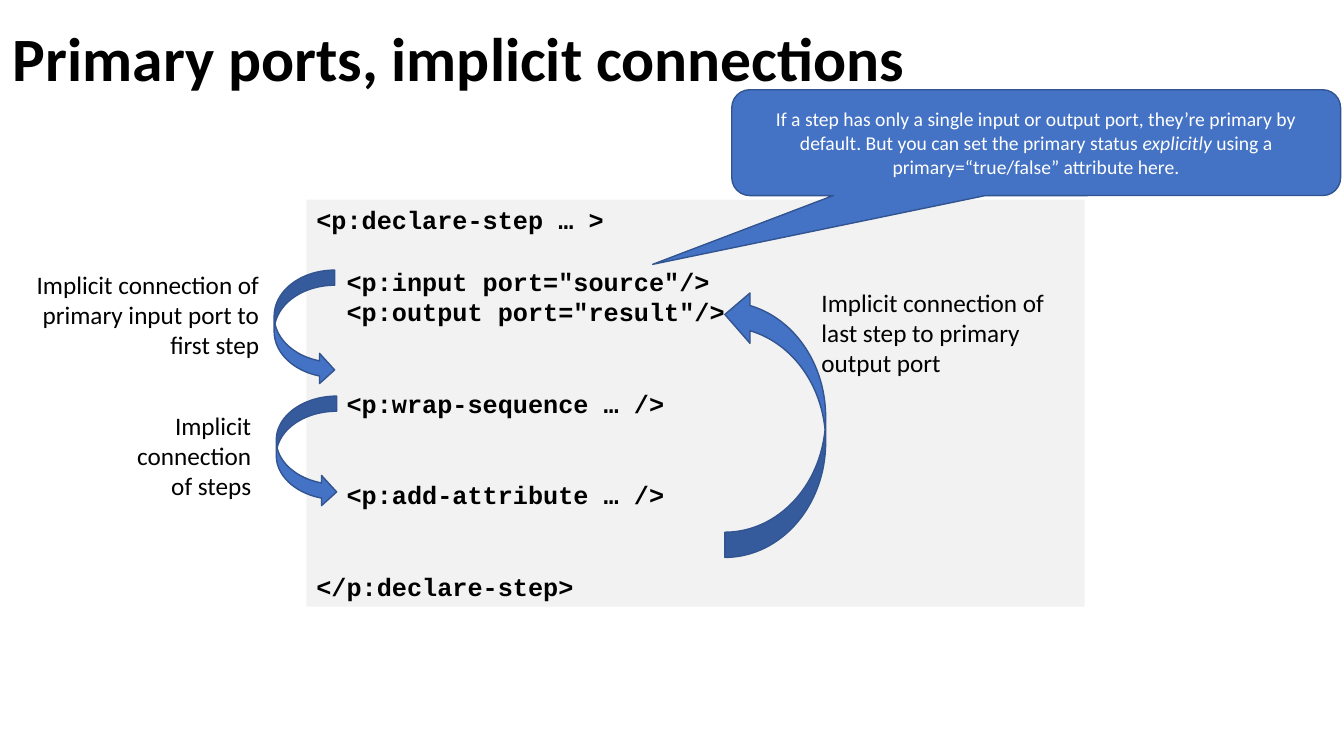
from dataclasses import dataclass

from pptx import Presentation
from pptx.dml.color import RGBColor
from pptx.enum.shapes import MSO_SHAPE as Preset
from pptx.enum.text import MSO_ANCHOR as Anchor, PP_ALIGN as Align
from pptx.util import Inches, Pt


@dataclass(frozen=True)
class Theme:
    text: RGBColor = RGBColor.from_string("000000")
    light: RGBColor = RGBColor.from_string("FFFFFF")
    panel: RGBColor = RGBColor.from_string("F2F2F2")
    accent: RGBColor = RGBColor.from_string("4472C4")
    outline: RGBColor = RGBColor.from_string("325491")
    body_font: str = "Calibri"
    code_font: str = "Courier New"
    title_size: int = 44
    body_size: int = 18
    callout_size: int = 14
    code_pitch: float = 21.8
    code_indent: float = 21.6


@dataclass(frozen=True)
class Box:
    left: float
    top: float
    width: float
    height: float

    def share(self, left, top, width, height):
        return Box(self.left + self.width * left / 100,
                   self.top + self.height * top / 100,
                   self.width * width / 100,
                   self.height * height / 100)

    def place(self):
        return [Inches(value) for value in (self.left, self.top, self.width, self.height)]


THEME = Theme()
SLIDE = Box(0, 0, 13.33, 7.5)


def style_run(run, size, color=THEME.text, name=THEME.body_font, bold=False):
    run.font.size = Pt(size)
    run.font.color.rgb = color
    run.font.name = name
    run.font.bold = bold


def add_filled(slide, box, preset, fill, outline=None):
    shape = slide.shapes.add_shape(preset, *box.place())
    shape.shadow.inherit = False
    shape.fill.solid()
    shape.fill.fore_color.rgb = fill
    if outline is None:
        shape.line.fill.background()
    else:
        shape.line.color.rgb = outline
        shape.line.width = Pt(1)
    return shape


def add_label(slide, box, text, size=THEME.body_size, align=Align.LEFT, bold=False):
    shape = slide.shapes.add_textbox(*box.place())
    frame = shape.text_frame
    frame.word_wrap = True
    frame.text = text
    for paragraph in frame.paragraphs:
        paragraph.alignment = align
        for run in paragraph.runs:
            style_run(run, size, bold=bold)
    return frame


def add_title(slide, box, text):
    frame = add_label(slide, box, text, THEME.title_size, bold=True)
    frame.vertical_anchor = Anchor.MIDDLE
    frame.paragraphs[0].line_spacing = 0.9


def add_code(slide, box, lines):
    frame = add_filled(slide, box, Preset.RECTANGLE, THEME.panel).text_frame
    frame.vertical_anchor = Anchor.TOP
    frame.text = "\n".join(text for text, indent, gap in lines)
    for paragraph, (text, indent, gap) in zip(frame.paragraphs, lines):
        paragraph.alignment = Align.LEFT
        paragraph.line_spacing = Pt(THEME.code_pitch)
        paragraph.space_before = Pt(THEME.code_pitch * gap)
        properties = paragraph._p.get_or_add_pPr()
        properties.set("marL", str(Pt(THEME.code_indent * indent)))
        style_run(paragraph.runs[0], THEME.body_size, name=THEME.code_font, bold=True)


def add_connection(slide, box, text, label_share, arrow_share, align, rotation=0):
    arrow = add_filled(slide, box.share(*arrow_share), Preset.CURVED_RIGHT_ARROW,
                       THEME.accent, THEME.outline)
    arrow.rotation = rotation
    add_label(slide, box.share(*label_share), text, align=align)


def add_callout(slide, box, pieces, adjustments):
    shape = add_filled(slide, box, Preset.ROUNDED_RECTANGULAR_CALLOUT,
                       THEME.accent, THEME.outline)
    for index, value in enumerate(adjustments):
        shape.adjustments[index] = value
    frame = shape.text_frame
    frame.word_wrap = True
    frame.vertical_anchor = Anchor.MIDDLE
    paragraph = frame.paragraphs[0]
    paragraph.alignment = Align.CENTER
    for text, italic in pieces:
        run = paragraph.add_run()
        run.text = text
        style_run(run, THEME.callout_size, THEME.light)
        run.font.italic = italic


def build_ports_slide(slide, box):
    add_code(slide, box.share(22.8, 26.4, 57.9, 53.87), [
        ("<p:declare-step … >", 0, 0),
        ('<p:input port="source"/>', 1, 1),
        ('<p:output port="result"/>', 1, 0),
        ("<p:wrap-sequence … />", 1, 2),
        ("<p:add-attribute … />", 1, 2),
        ("</p:declare-step>", 0, 2),
    ])
    add_connection(slide, box.share(9.38, 52.4, 15.67, 14.67),
                   "Implicit connection of steps",
                   (0, 8.18, 64.11, 91.82), (71.29, 0, 28.71, 100), Align.RIGHT)
    add_connection(slide, box.share(53.93, 37.33, 24.98, 36.4),
                   "Implicit connection of last step to primary output port",
                   (25.83, 0, 74.17, 37), (0, 2.56, 30.03, 97.44), Align.LEFT, 180)
    add_connection(slide, box.share(1.5, 34.93, 23.4, 16),
                   "Implicit connection of\nprimary input port to first step",
                   (0, 0, 79.17, 84.17), (80.77, 5, 19.23, 95), Align.RIGHT)
    add_title(slide, box.share(0.22, -1.07, 89.93, 18.4),
              "Primary ports, implicit connections")
    add_callout(slide, box.share(54.45, 11.87, 45.3, 14), [
        ("If a step has only a single input or output port, they’re primary by default. "
         "But you can set the primary status ", False),
        ("explicitly", True),
        (" using a primary=“true/false” attribute here.", False),
    ], (-0.63, 1.15, 0.17))


def main():
    presentation = Presentation()
    presentation.slide_width = Inches(SLIDE.width)
    presentation.slide_height = Inches(SLIDE.height)
    slide = presentation.slides.add_slide(presentation.slide_layouts[6])
    build_ports_slide(slide, SLIDE)
    presentation.save("out.pptx")


if __name__ == "__main__":
    main()
